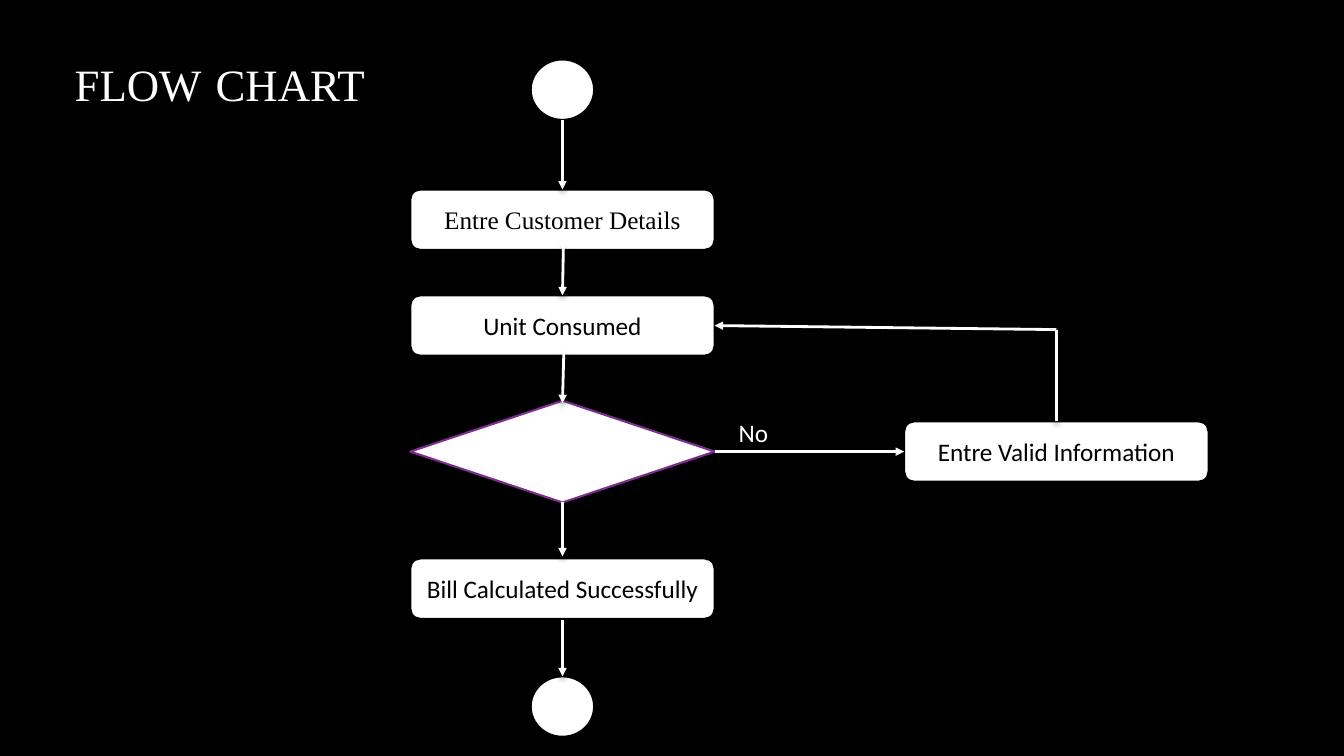
from lxml import etree
from pptx import Presentation
from pptx.dml.color import RGBColor
from pptx.enum.shapes import MSO_CONNECTOR as Link, MSO_SHAPE as Kind
from pptx.enum.text import MSO_ANCHOR as Anchor, MSO_AUTO_SIZE as Fit, PP_ALIGN as Align
from pptx.oxml.ns import qn
from pptx.util import Pt

COLORS = {"black": "000000", "white": "FFFFFF", "purple": "7F2E8F"}
SERIF, SANS = "Times New Roman", "Calibri"

MID = 401.76  # centre of the main column
SIDE = 754.56  # centre of the side box
BOX_W, BOX_H = 217.44, 43.2
DOT_W = 45.36
DIAMOND_H = 72.72
ROW = 322.56  # centre line of the decision


def rgb(name):
    return RGBColor.from_string(COLORS[name])


def place(shape, left, top, width, height):
    shape.left, shape.top = Pt(left), Pt(top)
    shape.width, shape.height = Pt(width), Pt(height)


def write(shape, *runs, font=SANS, color="black", align=Align.CENTER, after=0):
    """Fill a shape with one paragraph of (text, size) runs."""
    frame = shape.text_frame
    frame.auto_size = Fit.NONE
    frame.word_wrap = True
    frame.vertical_anchor = Anchor.MIDDLE
    para = frame.paragraphs[0]
    para.alignment = align
    para.space_after = Pt(after)
    for text, size in runs:
        run = para.add_run()
        run.text = text
        run.font.name = font
        run.font.size = Pt(size)
        run.font.color.rgb = rgb(color)


def add_node(slide, kind, mid, top, width, height=BOX_H, line="black"):
    node = slide.shapes.add_shape(
        kind, Pt(mid - width / 2), Pt(top), Pt(width), Pt(height))
    node.shadow.inherit = False
    node.fill.solid()
    node.fill.fore_color.rgb = rgb("white")
    node.line.color.rgb = rgb(line)
    node.line.width = Pt(1.5)
    return node


def add_shade(link):
    """Give a connector a soft shadow straight below it."""
    effects = etree.SubElement(link._element.spPr, qn("a:effectLst"))
    shade = etree.SubElement(
        effects, qn("a:outerShdw"), blurRad=str(Pt(4)), dist=str(Pt(3)),
        dir="5400000", rotWithShape="0")
    color = etree.SubElement(shade, qn("a:srgbClr"), val=COLORS["black"])
    etree.SubElement(color, qn("a:alpha"), val="35000")


def add_link(slide, start, end, head=True):
    link = slide.shapes.add_connector(Link.STRAIGHT, *map(Pt, start + end))
    link.line.color.rgb = rgb("white")
    link.line.width = Pt(2)
    if head:
        etree.SubElement(link.line._get_or_add_ln(), qn("a:tailEnd"), type="triangle")
    add_shade(link)


def main():
    deck = Presentation()
    deck.slide_width, deck.slide_height = Pt(960), Pt(540)
    slide = deck.slides.add_slide(deck.slide_layouts[5])
    slide.background.fill.solid()
    slide.background.fill.fore_color.rgb = rgb("black")

    title = slide.shapes.title
    place(title, 46.08, -0.72, 797.76, 114.48)
    write(title, ("FLOW", 32), (" ", 40), ("CHART", 32),
          font=SERIF, color="white", align=Align.LEFT)

    for top in (42.48, 483.12):
        add_node(slide, Kind.OVAL, MID, top, DOT_W)
    add_node(slide, Kind.FLOWCHART_DECISION, MID, ROW - DIAMOND_H / 2,
             BOX_W, DIAMOND_H, line="purple")

    steps = [
        ("Entre Customer Details", MID, 135.36, SERIF),
        ("Unit Consumed", MID, 210.96, SANS),
        ("Bill Calculated Successfully", MID, 398.88, SANS),
        ("Entre Valid Information", SIDE, ROW - BOX_H / 2, SANS),
    ]
    for text, mid, top, font in steps:
        box = add_node(slide, Kind.ROUNDED_RECTANGLE, mid, top, BOX_W)
        write(box, (text, 18), font=font)

    drops = [(0, 85.68, 135.36), (0.72, 174.24, 210.96), (1, 251.28, 288),
             (0, 358.56, 397.44), (0, 442.8, 483.12)]
    for shift, top, end in drops:
        add_link(slide, (MID + shift, top), (MID, end))

    edge = MID + BOX_W / 2
    add_link(slide, (edge, ROW), (SIDE - BOX_W / 2, ROW))
    bend = (SIDE, 235.44)
    add_link(slide, bend, (edge, 232.56))
    add_link(slide, (SIDE, ROW - BOX_H / 2), bend, head=False)

    label = slide.shapes.add_textbox(Pt(520.56), Pt(289.44), Pt(43.92), Pt(38.88))
    write(label, ("No", 18), color="white", align=Align.LEFT, after=10)

    deck.save("out.pptx")


if __name__ == "__main__":
    main()
